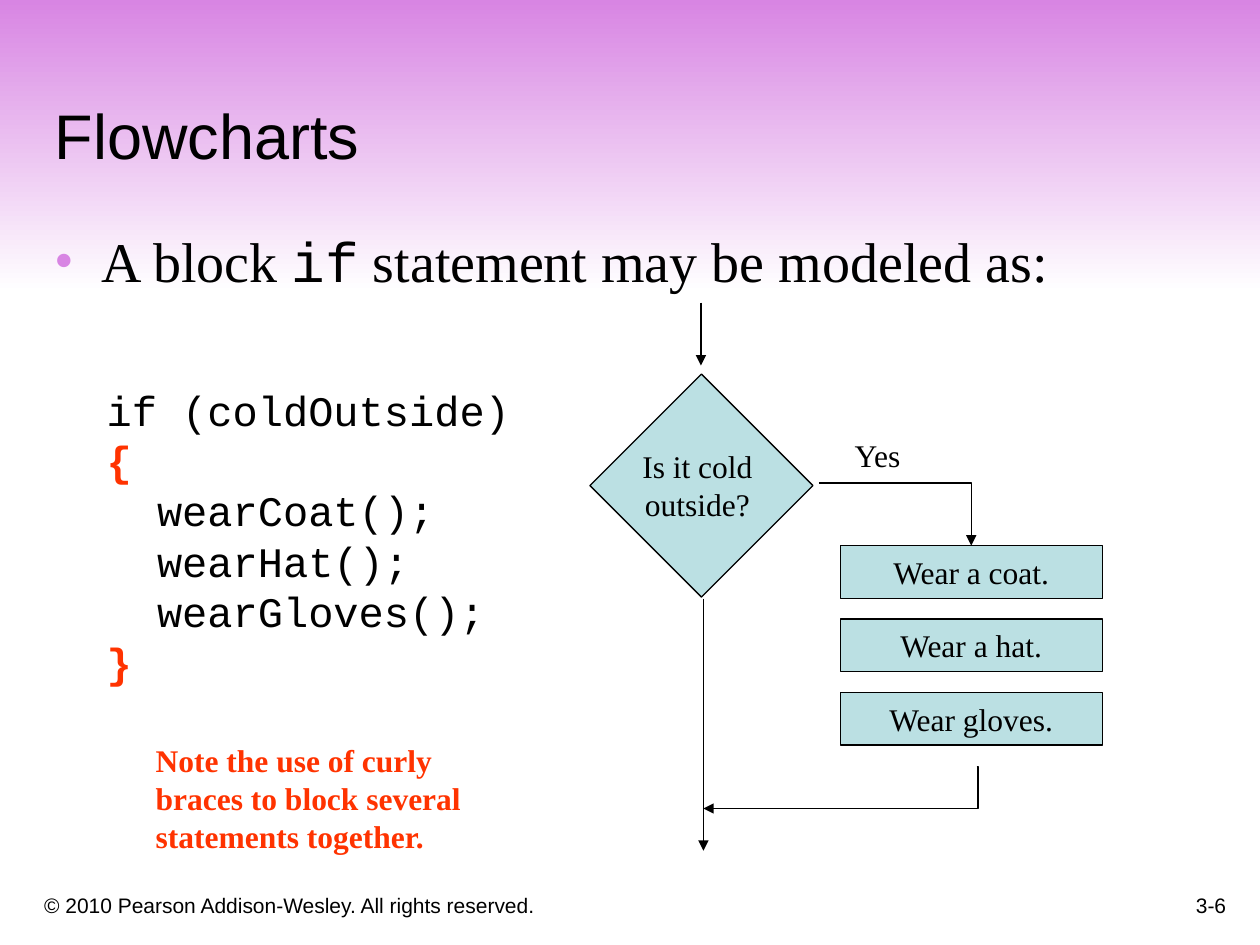
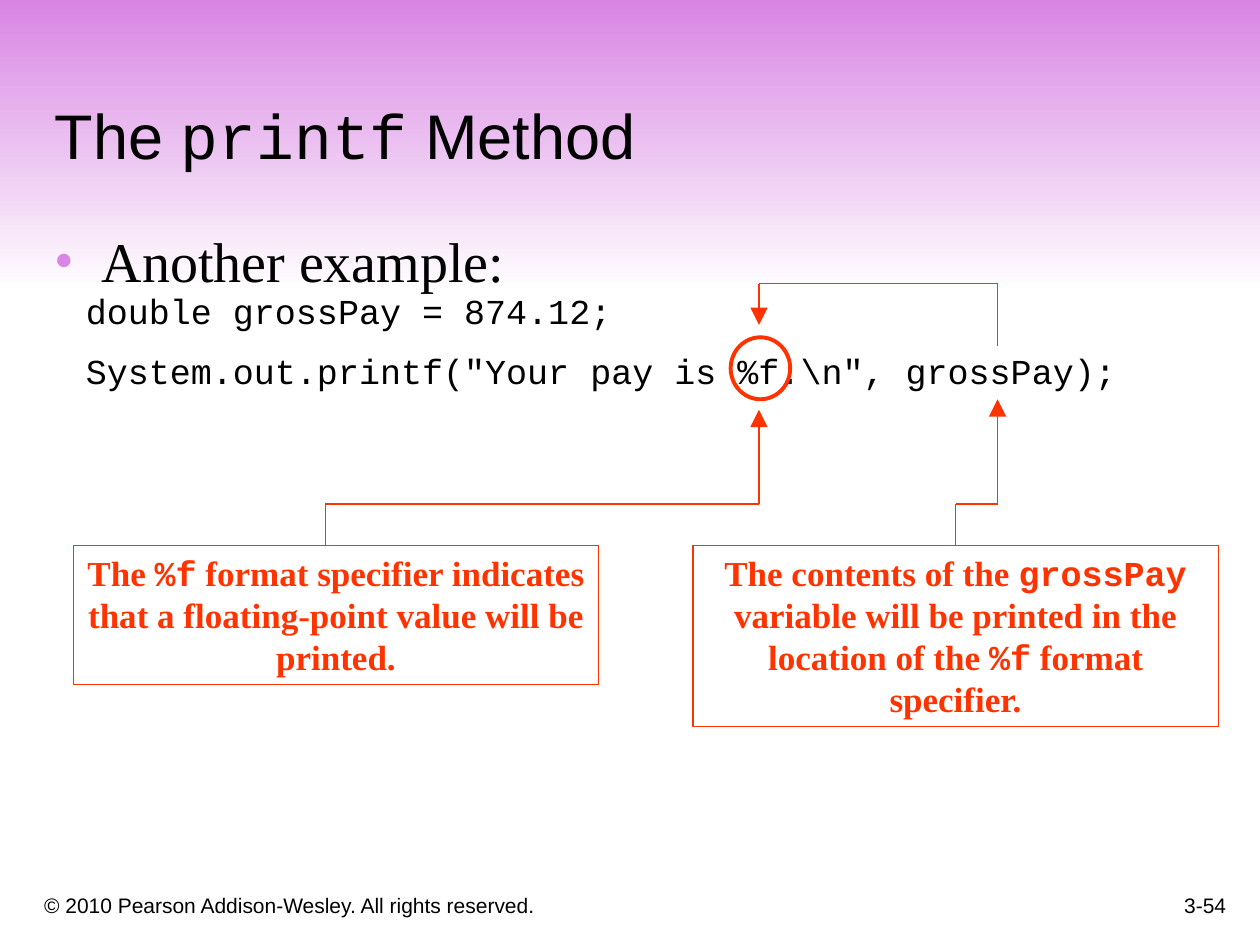
from dataclasses import dataclass
from itertools import pairwise

from lxml import etree
from pptx import Presentation
from pptx.dml.color import RGBColor
from pptx.enum.shapes import MSO_CONNECTOR, MSO_SHAPE
from pptx.enum.text import MSO_ANCHOR, MSO_AUTO_SIZE, PP_ALIGN
from pptx.oxml.ns import qn
from pptx.util import Cm, Pt

LEFT, CENTER, RIGHT = PP_ALIGN.LEFT, PP_ALIGN.CENTER, PP_ALIGN.RIGHT
TOP, MIDDLE, BOTTOM = MSO_ANCHOR.TOP, MSO_ANCHOR.MIDDLE, MSO_ANCHOR.BOTTOM
NO_FIT, GROW = MSO_AUTO_SIZE.NONE, MSO_AUTO_SIZE.SHAPE_TO_FIT_TEXT
RECTANGLE, ELLIPSE = MSO_SHAPE.RECTANGLE, MSO_SHAPE.OVAL
STRAIGHT, ELBOW = MSO_CONNECTOR.STRAIGHT, MSO_CONNECTOR.ELBOW
TITLE_ONLY = 5
TOP_SIDE = 0


@dataclass(frozen=True)
class Theme:
    ink: RGBColor = RGBColor(0x00, 0x00, 0x00)
    paper: RGBColor = RGBColor(0xFF, 0xFF, 0xFF)
    violet: RGBColor = RGBColor(0xD8, 0x85, 0xE3)
    aqua: RGBColor = RGBColor(0xBB, 0xE0, 0xE3)
    alert: RGBColor = RGBColor(0xFF, 0x33, 0x00)
    sans: str = "Arial"
    serif: str = "Times New Roman"
    mono: str = "Courier New"
    title_size: int = 36
    body_size: int = 32
    code_size: int = 24
    callout_size: int = 20
    label_size: int = 18
    footer_size: int = 12
    thin: float = 0.75
    thick: float = 2.25


THEME = Theme()


@dataclass(frozen=True)
class Box:
    """Position and size in centimetres."""
    left: float
    top: float
    width: float
    height: float

    def lengths(self) -> tuple:
        return Cm(self.left), Cm(self.top), Cm(self.width), Cm(self.height)


@dataclass(frozen=True)
class Style:
    font: str
    size: int
    color: RGBColor = THEME.ink
    bold: bool = False
    align: PP_ALIGN = LEFT


@dataclass(frozen=True)
class Span:
    """A stretch of text; empty values come from the style."""
    text: str
    font: str = ""
    color: RGBColor | None = None
    bold: bool = False


@dataclass(frozen=True)
class Callout:
    box: Box
    spans: list


TITLE = Style(THEME.sans, THEME.title_size)
BODY = Style(THEME.serif, THEME.body_size)
CODE = Style(THEME.mono, THEME.code_size)
SMALL_CODE = Style(THEME.mono, THEME.callout_size)
LABEL = Style(THEME.serif, THEME.label_size, align=CENTER)
NOTE = Style(THEME.serif, THEME.label_size, THEME.alert, True)
CALLOUT = Style(THEME.serif, THEME.callout_size, THEME.alert, True, CENTER)
FOOTER = Style(THEME.sans, THEME.footer_size)
NUMBER = Style(THEME.sans, THEME.footer_size, align=RIGHT)

BAND_BOX = Box(0, 0, 25.4, 5.9)
TITLE_BOX = Box(0.85, 0.85, 23.9, 2.74)
COPYRIGHT_BOX = Box(0.64, 17.56, 15.44, 1.07)
NUMBER_BOX = Box(19.69, 17.35, 5.28, 1.27)
BODY_LEFT, BODY_TOP, BODY_WIDTH = 0.85, 4.45, 23.04


# Text
def apply(target, formats: dict) -> None:
    for name, value in formats.items():
        setattr(target, name, value)


def mono(text: str) -> Span:
    return Span(text, THEME.mono)


def write(shape, paragraphs: list, style: Style, gap: float = 0, **frame_formats) -> None:
    """Each paragraph is a string or a list of spans."""
    frame = shape.text_frame
    apply(frame, {"word_wrap": True, "vertical_anchor": TOP, "auto_size": NO_FIT} | frame_formats)
    for index, content in enumerate(paragraphs):
        para = frame.add_paragraph() if index else frame.paragraphs[0]
        apply(para, {"alignment": style.align,
                     "space_before": Pt(gap if index else 0), "space_after": Pt(gap)})
        for span in [Span(content)] if isinstance(content, str) else content:
            run = para.add_run()
            run.text = span.text
            apply(run.font, {"name": span.font or style.font, "size": Pt(style.size),
                             "bold": span.bold or style.bold})
            run.font.color.rgb = span.color or style.color


def add_text(page, box: Box, paragraphs: list, style: Style, gap: float = 0, **frame_formats):
    shape = page.shapes.add_textbox(*box.lengths())
    write(shape, paragraphs, style, gap, **frame_formats)
    return shape


def add_bullet(page, spans: list, height: float) -> None:
    body = add_text(page, Box(BODY_LEFT, BODY_TOP, BODY_WIDTH, height), [spans], BODY,
                    margin_right=0)
    properties = body.text_frame.paragraphs[0]._p.get_or_add_pPr()
    properties.set("marL", str(Cm(0.95)))
    properties.set("indent", str(-Cm(0.95)))
    color = etree.SubElement(properties, qn("a:buClr"))
    etree.SubElement(color, qn("a:srgbClr"), val=str(THEME.violet))
    etree.SubElement(properties, qn("a:buFont"), typeface=THEME.serif)
    etree.SubElement(properties, qn("a:buChar"), char="•")


# Shapes and lines
def add_figure(page, kind: MSO_SHAPE, box: Box, line: RGBColor,
               fill: RGBColor | None = None, width: float = THEME.thin):
    shape = page.shapes.add_shape(kind, *box.lengths())
    shape.shadow.inherit = False
    if fill is None:
        shape.fill.background()
    else:
        shape.fill.solid()
        shape.fill.fore_color.rgb = fill
    shape.line.color.rgb = line
    shape.line.width = Pt(width)
    return shape


def add_line(page, start: tuple, end: tuple, color: RGBColor, head: str = "",
             bend: int | None = None):
    """head is an arrowhead size; bend is an elbow place in 1/1000 percent."""
    kind = STRAIGHT if bend is None else ELBOW
    line = page.shapes.add_connector(kind, *(Cm(value) for value in (*start, *end)))
    line.line.color.rgb = color
    line.line.width = Pt(THEME.thin)
    properties = line.element.spPr
    if head:
        etree.SubElement(properties.find(qn("a:ln")), qn("a:tailEnd"),
                         type="triangle", w=head, len=head)
    if bend is not None:
        adjustments = properties.find(qn("a:prstGeom")).get_or_add_avLst()
        etree.SubElement(adjustments, qn("a:gd"), name="adj1", fmla=f"val {bend}")
    etree.SubElement(properties, qn("a:effectLst"))
    return line


def add_route(page, points: list) -> list:
    """Straight pieces through the points, with an arrowhead on the last."""
    return [add_line(page, start, end, THEME.alert, "lg" if end == points[-1] else "")
            for start, end in pairwise(points)]


# Shared page parts
def furnish_layout(layout, page) -> None:
    """Place the band and copyright line on the layout."""
    band = page.shapes.add_shape(RECTANGLE, *BAND_BOX.lengths())
    band.shadow.inherit = False
    band.line.fill.background()
    band.fill.gradient()
    band.fill.gradient_angle = 270
    for stop, color in zip(band.fill.gradient_stops, (THEME.violet, THEME.paper)):
        stop.color.rgb = color
    copyright_line = add_text(
        page, COPYRIGHT_BOX, ["© 2010 Pearson Addison-Wesley. All rights reserved."], FOOTER,
        vertical_anchor=BOTTOM)
    for offset, shape in enumerate((band, copyright_line)):
        shape.element.nvSpPr.cNvPr.set("id", str(100 + offset))
        layout.shapes.element.insert(2 + offset, shape.element)


def add_page(deck, title: list, number: str):
    page = deck.slides.add_slide(deck.slide_layouts[TITLE_ONLY])
    heading = page.shapes.title
    names = ("left", "top", "width", "height")
    apply(heading, dict(zip(names, TITLE_BOX.lengths())))
    write(heading, [title], TITLE, vertical_anchor=BOTTOM)
    add_text(page, NUMBER_BOX, [number], NUMBER, vertical_anchor=BOTTOM)
    return page


# Slide 1
def build_flowchart(deck):
    page = add_page(deck, [Span("Flowcharts")], "3-6")
    add_bullet(page, [Span("A block "), mono("if"), Span(" statement may be modeled as:")], 2.87)

    # Decision
    diamond = add_figure(page, RECTANGLE, Box(12.55, 8.2, 3.18, 3.18), THEME.ink, THEME.aqua)
    diamond.rotation = 45
    add_text(page, Box(12.46, 8.89, 3.2, 1.78), ["Is it cold", "outside?"], LABEL)
    add_text(page, Box(16.84, 8.67, 1.7, 1.02), ["Yes"], LABEL)

    # Actions
    actions = []
    for index, text in enumerate(("Wear a coat.", "Wear a hat.", "Wear gloves.")):
        action = add_figure(page, RECTANGLE, Box(16.94, 11 + 1.48 * index, 5.28, 1.06),
                            THEME.ink, THEME.aqua)
        write(action, [text], LABEL, vertical_anchor=MIDDLE, word_wrap=False)
        actions.append(action)

    # Flow
    add_line(page, (14.13, 6.1), (14.13, 7.37), THEME.ink, "med")
    add_line(page, (14.18, 12.07), (14.18, 17.15), THEME.ink, "med")
    yes = add_line(page, (16.51, 9.74), (19.58, 11), THEME.ink, "med", bend=100000)
    yes.end_connect(actions[0], TOP_SIDE)
    add_line(page, (19.69, 15.45), (14.18, 16.3), THEME.ink, "med", bend=-500)

    # Code and note
    open_brace, close_brace = ([Span(brace, color=THEME.alert, bold=True)] for brace in "{}")
    add_text(page, Box(1.9, 7.62, 9.1, 6.35),
             ["if (coldOutside)", open_brace, "  wearCoat();", "  wearHat();",
              "  wearGloves();", close_brace], CODE, auto_size=GROW)
    add_text(page, Box(2.89, 14.82, 7.4, 2.54),
             ["Note the use of curly", "braces to block several", "statements together."], NOTE)
    return page


# Slide 2
def build_printf(deck) -> None:
    page = add_page(deck, [Span("The "), mono("printf"), Span(" Method")], "3-54")
    add_bullet(page, [Span("Another example:")], 12.7)
    add_text(page, Box(1.48, 5.72, 23.06, 2.3),
             ["double grossPay = 874.12;", 'System.out.printf("Your pay is %f.\\n", grossPay);'],
             SMALL_CODE, gap=5, auto_size=GROW)
    add_figure(page, ELLIPSE, Box(14.73, 6.8, 1.2, 1.25), THEME.alert, width=THEME.thick)

    # Callouts
    callouts = [
        Callout(Box(1.48, 11, 10.59, 2.8), [
            Span("The "), mono("%f"),
            Span(" format specifier indicates that a floating-point value will be printed.")]),
        Callout(Box(13.97, 11, 10.59, 3.65), [
            Span("The contents of the "), mono("grossPay"),
            Span(" variable will be printed in the location of the "), mono("%f"),
            Span(" format specifier.")]),
    ]
    boxes = []
    for callout in callouts:
        box = add_figure(page, RECTANGLE, callout.box, THEME.alert)
        write(box, [callout.spans], CALLOUT, auto_size=GROW)
        boxes.append(box)

    # Arrows
    specifier, variable, turn = 15.3, 20.11, 10.16
    add_route(page, [(variable, 6.98), (variable, 5.72), (specifier, 5.72), (specifier, 6.55)])
    add_route(page, [(6.56, 11), (6.56, turn), (specifier, turn), (specifier, 8.26)])
    middle = callouts[1].box.left + callouts[1].box.width / 2
    pieces = add_route(page, [(middle, 11), (middle, turn), (variable, turn), (variable, 8.05)])
    pieces[0].begin_connect(boxes[1], TOP_SIDE)


def main() -> None:
    deck = Presentation()
    deck.slide_width, deck.slide_height = Cm(25.4), Cm(19.05)
    first_page = build_flowchart(deck)
    furnish_layout(deck.slide_layouts[TITLE_ONLY], first_page)
    build_printf(deck)
    deck.save("out.pptx")


if __name__ == "__main__":
    main()
